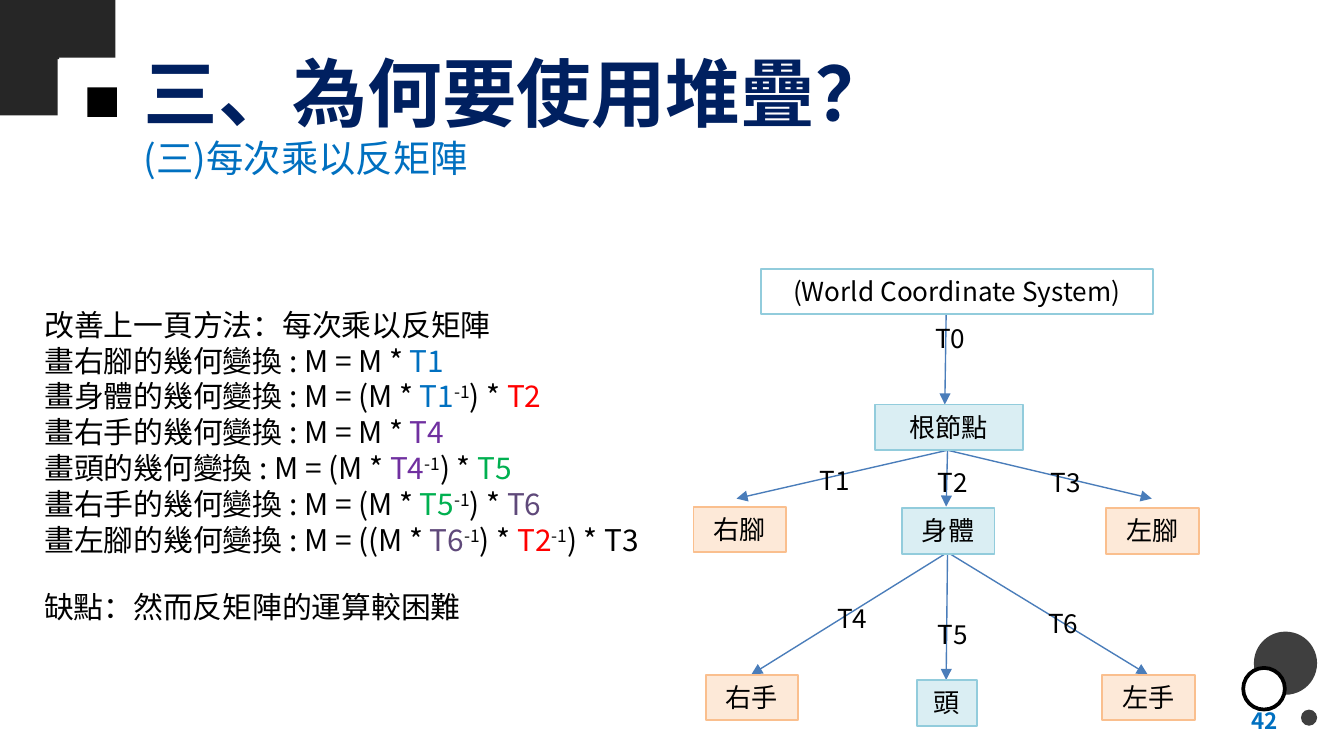
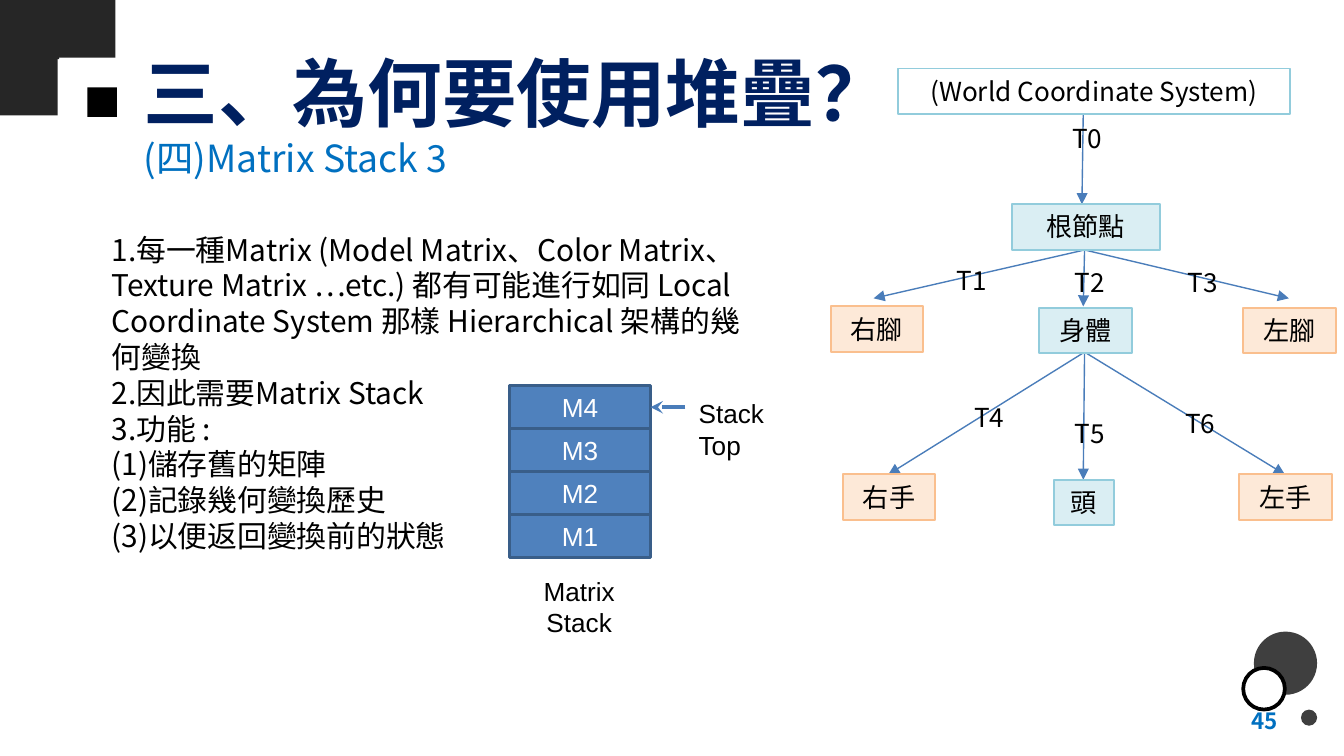
from lxml import etree
from pptx import Presentation
from pptx import util as u
from pptx.dml.color import RGBColor
from pptx.enum import shapes, text
from pptx.oxml.ns import qn

PX = 9144
CJK, LATIN = "Noto Sans CJK TC", "Arial"
BLACK, WHITE = RGBColor(0, 0, 0), RGBColor(255, 255, 255)
NAVY, BLUE = RGBColor(0x00, 0x20, 0x60), RGBColor(0x00, 0x70, 0xC0)
CHARCOAL, GRAY = RGBColor(0x26, 0x26, 0x26), RGBColor(0x3F, 0x3F, 0x3F)
PURPLE, GREEN = RGBColor(0x70, 0x30, 0xA0), RGBColor(0x00, 0xB0, 0x50)
RED, VIOLET = RGBColor(255, 0, 0), RGBColor(0x5F, 0x49, 0x7A)
AQUA, AQUA_EDGE = RGBColor(0xDA, 0xEE, 0xF3), RGBColor(0x92, 0xCC, 0xDC)
PEACH, PEACH_EDGE = RGBColor(0xFD, 0xE9, 0xD8), RGBColor(0xFA, 0xBF, 0x8E)
STACK, STACK_EDGE = RGBColor(0x4F, 0x81, 0xBD), RGBColor(0x39, 0x5E, 0x89)
ARROW = RGBColor(0x4A, 0x7D, 0xBA)
TERM_COLORS = {"T1": BLUE, "T2": RED, "T4": PURPLE, "T5": GREEN, "T6": VIOLET}
RECT, OVAL = shapes.MSO_SHAPE.RECTANGLE, shapes.MSO_SHAPE.OVAL
LEFT, CENTER, RIGHT = text.PP_ALIGN.LEFT, text.PP_ALIGN.CENTER, text.PP_ALIGN.RIGHT
TOP, MIDDLE = text.MSO_ANCHOR.TOP, text.MSO_ANCHOR.MIDDLE

TITLE = "三、為何要使用堆疊？"
PAGES = [
    {
        "number": "42",
        "subtitle": "(三)每次乘以反矩陣",
        "body_at": (23, 223, 500, 199),
        "tree_shift": (0, 0),
        "body": [
            (0, ["改善上一頁方法：每次乘以反矩陣"]),
            (1, ["畫右腳的幾何變換 : M = M * ", "T1"]),
            (1, ["畫身體的幾何變換 : M = (M * ", "T1", "-1", ") * ", "T2"]),
            (2, ["畫右手的幾何變換 : M = M * ", "T4"]),
            (2, ["畫頭的幾何變換 : M = (M * ", "T4", "-1", ") * ", "T5"]),
            (2, ["畫右手的幾何變換 : M = (M * ", "T5", "-1", ") * ", "T6"]),
            (1, ["畫左腳的幾何變換 : M = ((M * ", "T6", "-1", ") * ", "T2", "-1", ") * T3"]),
        ],
    },
    {
        "number": "45",
        "subtitle": "(四)Matrix Stack 3",
        "body_at": (73, 167, 500, 252),
        "tree_shift": (102, -149),
        "body": [
            (0, ["1.每一種Matrix (Model Matrix、Color Matrix、Texture Matrix …etc.) "
                 "都有可能進行如同 Local Coordinate System 那樣 Hierarchical 架構的幾何變換"]),
            (0, ["2.因此需要Matrix Stack"]),
            (0, ["3.功能 :"]),
            (0, ["(1)儲存舊的矩陣"]),
            (0, ["(2)記錄幾何變換歷史"]),
            (0, ["(3)以便返回變換前的狀態"]),
        ],
    },
]
DRAWBACK = "缺點：然而反矩陣的運算較困難"

NODES = [
    ("(World Coordinate System)", 566, 200, 292, WHITE, AQUA_EDGE),
    ("根節點", 651, 301, 110, AQUA, AQUA_EDGE),
    ("右腳", 516, 377, 69, PEACH, PEACH_EDGE),
    ("身體", 671, 378, 69, AQUA, AQUA_EDGE),
    ("左腳", 823, 378, 69, PEACH, PEACH_EDGE),
    ("右手", 525, 502, 69, PEACH, PEACH_EDGE),
    ("頭", 682, 506, 45, AQUA, AQUA_EDGE),
    ("左手", 820, 502, 69, PEACH, PEACH_EDGE),
]
EDGES = [
    ((704, 234), [(703, 301)]),
    ((705, 335), [(548, 371), (704, 377), (857, 371)]),
    ((705, 411), [(559, 502), (704, 506), (854, 502)]),
]
LABELS = [("T0", 686, 235), ("T1", 600, 341), ("T2", 688, 342), ("T3", 772, 342),
          ("T4", 613, 443), ("T5", 688, 455), ("T6", 770, 447)]
NODE_HEIGHT, LABEL_WIDTH = 34, 50

DECOR = [
    (RECT, (0, 0, 44, 44), CHARCOAL, None),
    (RECT, (43, 0, 43, 43), CHARCOAL, None),
    (RECT, (0, 43, 43, 43), CHARCOAL, None),
    (RECT, (65, 65, 22, 22), BLACK, None),
    (OVAL, (933, 470, 47, 47), GRAY, None),
    (OVAL, (968, 528, 12, 12), GRAY, None),
    (OVAL, (925, 497, 31, 31), WHITE, BLACK),
]
STACK_ITEMS = ["M4", "M3", "M2", "M1"]
STACK_LEFT, STACK_TOP, STACK_WIDTH, STACK_ROW = 379, 287, 105, 32
CAPTION_WIDTH, CAPTION_HEIGHT = 104, 24


def emu(lengths):
    return [u.Emu(length * PX) for length in lengths]


def place(box, at):
    box.left, box.top, box.width, box.height = emu(at)


def write(box, paragraphs, size, color=BLACK, font=CJK, align=LEFT, anchor=TOP,
          bold=False, spacing=1.2):
    frame = box.text_frame
    frame.word_wrap = True
    frame.auto_size = text.MSO_AUTO_SIZE.NONE
    frame.vertical_anchor = anchor
    frame.margin_left, frame.margin_right = emu((10, 10))
    frame.margin_top, frame.margin_bottom = emu((5, 5))
    for index, (level, pieces) in enumerate(paragraphs):
        para = frame.add_paragraph() if index else frame.paragraphs[0]
        properties = para._p.get_or_add_pPr()
        properties.set("marL", "0")
        properties.set("indent", "0")
        etree.SubElement(properties, qn("a:buNone"))
        para.level, para.alignment = level, align
        para.space_before = u.Pt(0)
        if spacing:
            para.line_spacing = u.Pt(round(size * spacing, 1))
        for piece in pieces:
            span = para.add_run()
            span.text = piece
            span.font.size, span.font.bold, span.font.name = u.Pt(size), bold, font
            span.font.color.rgb = color
            run_properties = span._r.get_or_add_rPr()
            etree.SubElement(run_properties, qn("a:ea")).set("typeface", font)
            if len(pieces) > 1 and piece in TERM_COLORS:
                span.font.color.rgb = TERM_COLORS[piece]
            if piece == "-1":
                run_properties.set("baseline", "30000")


def add_text(page, words, at, size, **style):
    box = page.shapes.add_textbox(*emu(at))
    write(box, [(0, [words])], size, **style)


def add_box(page, kind, at, fill, edge=None, width=1):
    box = page.shapes.add_shape(kind, *emu(at))
    box.shadow.inherit = False
    box.fill.solid()
    box.fill.fore_color.rgb = fill
    if edge is None:
        box.line.fill.background()
    else:
        box.line.color.rgb = edge
        box.line.width = u.Pt(width)
    return box


def add_arrow(page, start, end, width=0.75, head="triangle"):
    arrow = page.shapes.add_connector(shapes.MSO_CONNECTOR.STRAIGHT, *emu(start + end))
    arrow.line.color.rgb = ARROW
    arrow.line.width = u.Pt(width)
    etree.SubElement(arrow.line._get_or_add_ln(), qn("a:tailEnd")).set("type", head)
    etree.SubElement(arrow._element.spPr, qn("a:effectLst"))


def add_tree(page, shift):
    right, down = shift
    for start, ends in EDGES:
        for end in ends:
            add_arrow(page, (start[0] + right, start[1] + down),
                      (end[0] + right, end[1] + down))
    for name, left, top, width, fill, edge in NODES:
        box = add_box(page, RECT, (left + right, top + down, width, NODE_HEIGHT), fill, edge)
        write(box, [(0, [name])], 14, align=CENTER)
    for name, left, top in LABELS:
        add_text(page, name, (left + right, top + down, LABEL_WIDTH, NODE_HEIGHT), 14)


def add_stack(page):
    for row, name in enumerate(STACK_ITEMS):
        at = (STACK_LEFT, STACK_TOP + row * STACK_ROW, STACK_WIDTH, STACK_ROW)
        box = add_box(page, RECT, at, STACK, STACK_EDGE, 1.5)
        write(box, [(0, [name])], 14, color=WHITE, font=LATIN, align=CENTER, anchor=MIDDLE)
    add_text(page, "Matrix Stack", (STACK_LEFT, 423, CAPTION_WIDTH, CAPTION_HEIGHT), 14,
             font=LATIN, align=CENTER)
    add_text(page, "Stack Top", (510, 291, CAPTION_WIDTH, CAPTION_HEIGHT), 14, font=LATIN)
    add_arrow(page, (510, 303), (STACK_LEFT + STACK_WIDTH, 303), 2.25, "stealth")


def add_page(deck, content):
    page = deck.slides.add_slide(deck.slide_layouts[1])
    title, body = page.placeholders[0], page.placeholders[1]
    place(title, (97, 21, 655, 94))
    write(title, [(0, [TITLE])], 40, color=NAVY, anchor=MIDDLE, bold=True, spacing=None)
    place(body, content["body_at"])
    write(body, content["body"], 16)
    for kind, at, fill, edge in DECOR:
        add_box(page, kind, at, fill, edge, 2)
    add_text(page, content["number"], (728, 521, 233, 30), 12, color=BLUE,
             align=RIGHT, anchor=MIDDLE, bold=True, spacing=None)
    add_text(page, content["subtitle"], (97, 96, 492, 44), 20, color=BLUE)
    add_tree(page, content["tree_shift"])
    return page


def main():
    deck = Presentation()
    deck.slide_width = u.Inches(10)
    deck.slide_height = u.Emu(deck.slide_width * 9 // 16)
    inverse_page, stack_page = [add_page(deck, content) for content in PAGES]
    add_text(inverse_page, DRAWBACK, (23, 433, 376, 37), 16)
    add_stack(stack_page)
    deck.save("out.pptx")


if __name__ == "__main__":
    main()
